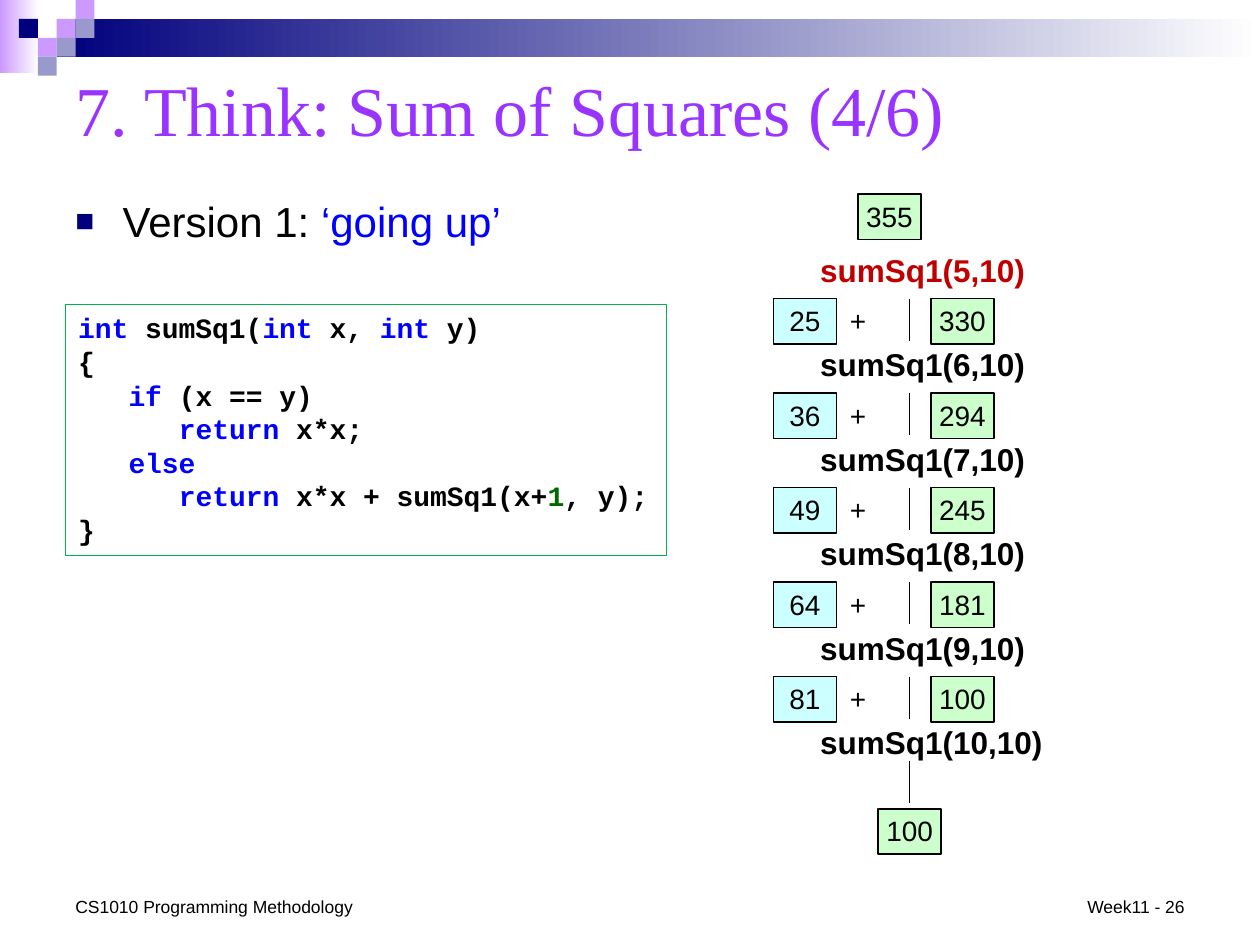
from lxml import etree
from pptx import Presentation
from pptx.dml.color import RGBColor
from pptx.enum.shapes import MSO_CONNECTOR, MSO_SHAPE
from pptx.enum.text import MSO_ANCHOR, PP_ALIGN
from pptx.oxml.ns import qn
from pptx.util import Pt

RECTANGLE = MSO_SHAPE.RECTANGLE
STRAIGHT = MSO_CONNECTOR.STRAIGHT
LEFT, CENTER, RIGHT = PP_ALIGN.LEFT, PP_ALIGN.CENTER, PP_ALIGN.RIGHT
TOP, MIDDLE, BOTTOM = MSO_ANCHOR.TOP, MSO_ANCHOR.MIDDLE, MSO_ANCHOR.BOTTOM

BLACK, WHITE, NAVY, BLUE = "000000", "FFFFFF", "00007D", "0000FF"
LILAC, SLATE, PURPLE, RED = "CC99FF", "9999CC", "9933FF", "C00000"
MINT, AQUA, GREEN, DARK_GREEN = "CCFFCC", "CCFFFF", "00B050", "006600"


def rgb(value):
    return RGBColor.from_string(value)


class SlideBuilder:
    def __init__(self, slide, font="Arial"):
        self.shapes = slide.shapes
        self.font = font

    def rectangle(self, left, top, width, height, fill, line=None, weight=1):
        box = self.shapes.add_shape(RECTANGLE, Pt(left), Pt(top), Pt(width), Pt(height))
        box.shadow.inherit = False
        if isinstance(fill, tuple):
            box.fill.gradient()
            box.fill.gradient_angle = 0
            for stop, color in zip(box.fill.gradient_stops, fill):
                stop.color.rgb = rgb(color)
        else:
            box.fill.solid()
            box.fill.fore_color.rgb = rgb(fill)
        if line:
            box.line.color.rgb = rgb(line)
            box.line.width = Pt(weight)
        else:
            box.line.fill.background()
        return box

    def fill_text(self, box, paragraphs, size, font=None, bold=False, align=LEFT,
                  anchor=TOP, inset=None):
        """Each paragraph is a list of (text, color) spans."""
        frame = box.text_frame
        frame.word_wrap = True
        frame.vertical_anchor = anchor
        if inset is not None:
            frame.margin_left = frame.margin_right = Pt(inset)
            frame.margin_top = frame.margin_bottom = Pt(inset)
        for index, spans in enumerate(paragraphs):
            para = frame.add_paragraph() if index else frame.paragraphs[0]
            para.alignment = align
            for text, color in spans:
                span = para.add_run()
                span.text = text
                span.font.name = font or self.font
                span.font.size = Pt(size)
                span.font.bold = bold
                span.font.color.rgb = rgb(color)
        return frame

    def text(self, left, top, width, height, spans, size, **style):
        box = self.shapes.add_textbox(Pt(left), Pt(top), Pt(width), Pt(height))
        return self.fill_text(box, [spans], size, **style)

    def value(self, left, top, number, fill):
        box = self.rectangle(left, top, 36, 26, fill, BLACK)
        self.fill_text(box, [[(str(number), BLACK)]], 16, align=CENTER, inset=2.88)

    def vertical_line(self, x, top, height):
        line = self.shapes.add_connector(STRAIGHT, Pt(x), Pt(top), Pt(x), Pt(top + height))
        line.line.color.rgb = rgb(BLACK)
        line.line.width = Pt(1)
        etree.SubElement(line._element.spPr, qn("a:effectLst"))

    def indent(self, para, left, first=0):
        properties = para._p.get_or_add_pPr()
        properties.set("marL", str(Pt(left)))
        properties.set("indent", str(Pt(first)))
        return properties

    def bullet(self, para, char, color, percent):
        properties = self.indent(para, 27, -27)
        bullet_color = etree.SubElement(properties, qn("a:buClr"))
        etree.SubElement(bullet_color, qn("a:srgbClr"), val=color)
        etree.SubElement(properties, qn("a:buSzPct"), val=str(percent * 1000))
        etree.SubElement(properties, qn("a:buFont"), typeface=self.font)
        etree.SubElement(properties, qn("a:buChar"), char=char)


deck = Presentation()
deck.slide_width, deck.slide_height = Pt(720), Pt(540)
page = SlideBuilder(deck.slides.add_slide(deck.slide_layouts[6]))

# Header band and its mosaic of squares
TILE = 10.8
page.rectangle(0, 0, 22.3, 41.8, (LILAC, WHITE))
page.rectangle(3 * TILE, TILE, 687.6, 2 * TILE, (NAVY, WHITE))
mosaic = [(3, 1, LILAC), (4, 0, LILAC), (4, 1, SLATE), (2, 2, LILAC),
          (1, 1, NAVY), (3, 2, SLATE), (2, 3, SLATE)]
for column, row, color in mosaic:
    page.rectangle(column * TILE, row * TILE, TILE, TILE, color)

# Title and topic
page.text(36, 30.2, 648, 63.4, [("7. Think: Sum of Squares (4/6)", PURPLE)], 40,
          font="Times New Roman", anchor=MIDDLE)
topic = page.text(36, 108, 380, 44,
                  [("Version 1: ", BLACK), ("‘going up’", BLUE)], 24)
page.bullet(topic.paragraphs[0], "■", NAVY, 75)

# Code listing: indent level, then spans
INDENT = 28.8
code = [
    (0, [("int", BLUE), (" sumSq1(", BLACK), ("int", BLUE), (" x, ", BLACK),
         ("int", BLUE), (" y)", BLACK)]),
    (0, [("{", BLACK)]),
    (1, [("if", BLUE), (" (x == y)", BLACK)]),
    (2, [("return", BLUE), (" x*x;", BLACK)]),
    (1, [("else", BLUE)]),
    (2, [("return", BLUE), (" x*x + sumSq1(x+", BLACK), ("1", DARK_GREEN),
         (", y);", BLACK)]),
    (0, [("}", BLACK)]),
]
code_box = page.rectangle(37.6, 174.2, 343.4, 143.2, WHITE, GREEN, 0.75)
listing = page.fill_text(code_box, [spans for level, spans in code], 16,
                         font="Courier New", bold=True)
for para, (level, spans) in zip(listing.paragraphs, code):
    page.indent(para, level * INDENT)

# Chain of recursive calls, each with its square and the returned sum
STEP, CALL_TOP, VALUE_TOP, AXIS = 54, 140.4, 170.6, 519.8
FIRST, LAST = 5, 10
page.value(490.2, 110.9, sum(n * n for n in range(FIRST, LAST + 1)), MINT)
for x in range(FIRST, LAST + 1):
    offset = (x - FIRST) * STEP
    page.text(465.8, CALL_TOP + offset, 172, 27.4,
              [(f"sumSq1({x},{LAST})", RED if x == FIRST else BLACK)], 18,
              bold=True, inset=2.88)
    if x < LAST:
        top = VALUE_TOP + offset
        page.vertical_line(AXIS, top, 24)
        page.value(442, top, x * x, AQUA)
        page.text(472.3, top, 36, 25.2, [("+", BLACK)], 16, align=CENTER, inset=2.88)
        page.value(532, top, sum(n * n for n in range(x + 1, LAST + 1)), MINT)
page.vertical_line(AXIS, 434.9, 24)
page.value(AXIS - 18, 462.2, LAST * LAST, MINT)

# Footer
page.text(36, 508.3, 240, 19.4, [("CS1010 Programming Methodology", BLACK)], 10,
          anchor=BOTTOM)
page.text(584, 508.3, 100, 19.4, [("Week11 - 26", BLACK)], 10,
          align=RIGHT, anchor=BOTTOM)

deck.save("out.pptx")
